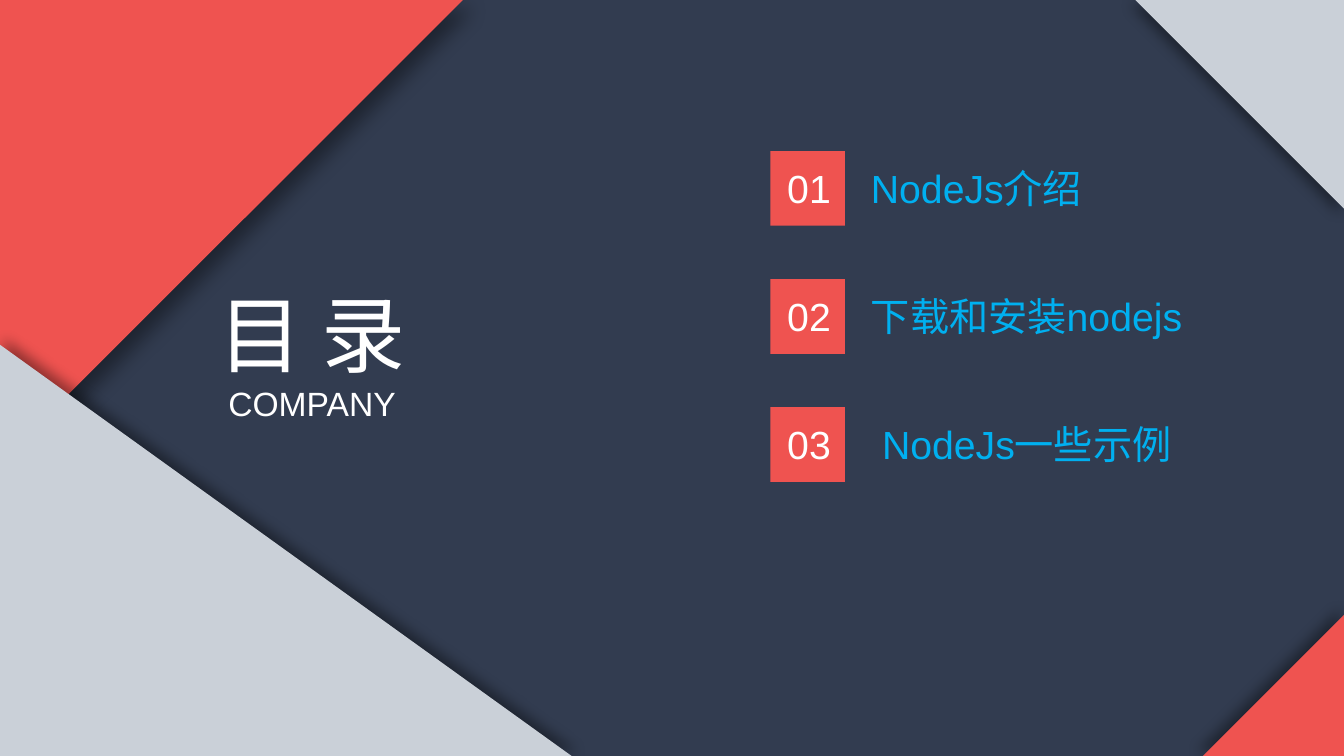
from pptx import Presentation, util as u
from pptx.dml.color import RGBColor
from pptx.enum import shapes, text
from pptx.oxml import parse_xml
from pptx.oxml.ns import nsdecls

WIDE, HIGH = 13.33, 7.5
HUES = {"navy": "323C50", "red": "EF5350", "grey": "CAD0D8",
        "white": "FFFFFF", "blue": "00B0F0", "black": "000000"}
ITEMS = [("NodeJs介绍", 0.9), ("下载和安装nodejs", 0.9), ("NodeJs一些示例", 1.01)]


def hue(name):
    return RGBColor.from_string(HUES[name])


def inches(*box):
    return [u.Inches(v) for v in box]


def paint(fill, name):
    fill.solid()
    fill.fore_color.rgb = hue(name)


def block(slide, kind, box, name):
    shape = slide.shapes.add_shape(kind, *inches(*box))
    paint(shape.fill, name)
    shape.line.fill.background()
    shape.shadow.inherit = False
    return shape


def write(frame, lines, name, wrap, align):
    """Fill a frame with (words, size) lines."""
    look = {"word_wrap": wrap, "vertical_anchor": text.MSO_ANCHOR.TOP,
            "auto_size": text.MSO_AUTO_SIZE.SHAPE_TO_FIT_TEXT}
    for key, value in look.items():
        setattr(frame, key, value)
    for i, (words, size) in enumerate(lines):
        para = frame.paragraphs[0] if i == 0 else frame.add_paragraph()
        para.alignment = align
        run = para.add_run()
        run.text = words
        for key, value in {"size": u.Pt(size), "name": "Arial"}.items():
            setattr(run.font, key, value)
        run.font.color.rgb = hue(name)


def corner(slide, box, name, turn, blur, dist, angle):
    """Right triangle whose square corner sits in a slide corner."""
    shape = block(slide, shapes.MSO_SHAPE.RIGHT_TRIANGLE, box, name)
    shape.rotation = turn
    for old in shape.element.spPr.findall("{*}effectLst"):
        shape.element.spPr.remove(old)
    shape.element.spPr.append(parse_xml(
        f'<a:effectLst {nsdecls("a")}><a:outerShdw blurRad="{u.Pt(blur)}" '
        f'dist="{u.Pt(dist)}" dir="{angle * 60000}" algn="ctr" rotWithShape="0">'
        f'<a:srgbClr val="{HUES["black"]}"><a:alpha val="40000"/></a:srgbClr>'
        '</a:outerShdw></a:effectLst>'))


def corners(slide):
    top, left, low = 2.07, 4.59, 1.4
    base, rise = 5.67, 4.08
    corner(slide, (WIDE - top, 0, top, top), "grey", 180, 10, 5, 135)
    corner(slide, (0, 0, left, left), "red", 90, 15, 10, 45)
    corner(slide, (WIDE - low, HIGH - low, low, low), "red", 270, 10, 5, 225)
    corner(slide, (0, HIGH - rise, base, rise), "grey", 0, 10, 5, 315)


def heading(slide, box):
    title = slide.shapes.title
    title.left, title.top, title.width, title.height = inches(*box)
    write(title.text_frame, [("目 录", 60), ("COMPANY", 24)], "white",
          False, text.PP_ALIGN.CENTER)


def agenda(slide, left, top, side, pitch):
    for i, (words, shift) in enumerate(ITEMS):
        y = top + i * pitch
        block(slide, shapes.MSO_SHAPE.RECTANGLE, (left, y, side, side), "red")
        # Number over the square, then its label
        for x, wide, line, name, wrap in (
                (0.07, 0.64, f"{i + 1:02}", "white", False),
                (shift, 3.5, words, "blue", True)):
            area = slide.shapes.add_textbox(*inches(left + x, y + 0.08, wide, 0.57))
            write(area.text_frame, [(line, 28)], name, wrap, text.PP_ALIGN.LEFT)


def main():
    deck = Presentation()
    deck.slide_width, deck.slide_height = inches(WIDE, HIGH)
    slide = deck.slides.add_slide(deck.slide_layouts[5])
    paint(slide.background.fill, "navy")
    corners(slide)
    heading(slide, (2.03, 2.75, 2.13, 1.51))
    agenda(slide, 7.64, 1.5, 0.74, 1.27)
    deck.save("out.pptx")


if __name__ == "__main__":
    main()
